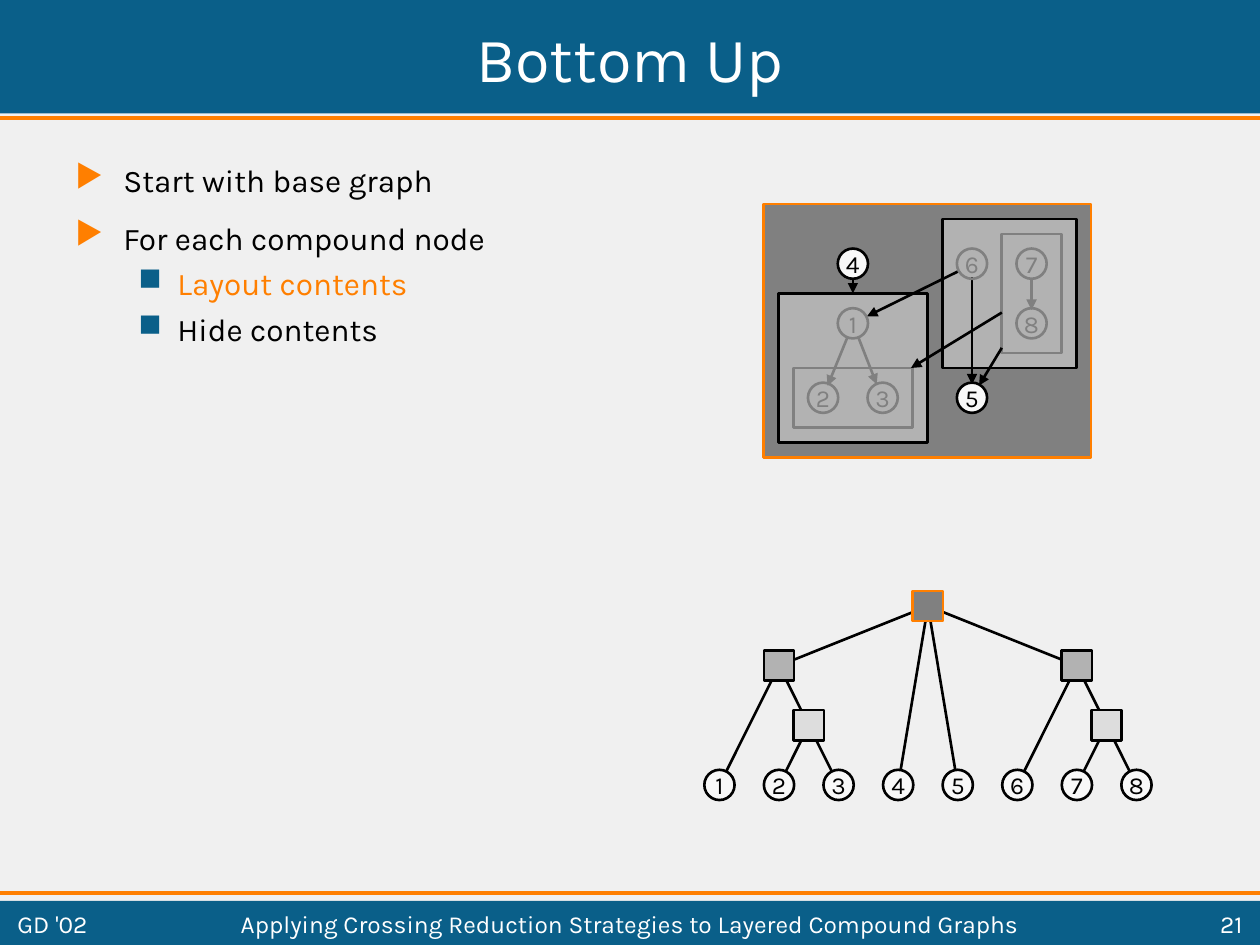
from lxml.etree import SubElement
from pptx import Presentation
from pptx.dml.color import RGBColor
from pptx.enum.shapes import MSO_CONNECTOR, MSO_SHAPE
from pptx.enum.text import MSO_ANCHOR, PP_ALIGN
from pptx.oxml.ns import qn
from pptx.util import Inches, Pt

FONT = "Karla"
NODE = 0.24
COLORS = {
    "page": "F0F0F0", "blue": "0A5F89", "orange": "FF7F00",
    "white": "FFFFFF", "black": "000000", "node": "F8F8F8",
    "dark": "808080", "mid": "B2B2B2", "light": "DDDDDD",
}


def rgb(name):
    return RGBColor.from_string(COLORS[name])


def add_run(p, text, size, color):
    r = p.add_run()
    r.text = text
    r.font.name = FONT
    r.font.size = Pt(size)
    r.font.color.rgb = rgb(color)


def add_shape(s, kind, x, y, w, h, fill=None, line=None):
    sp = s.shapes.add_shape(kind, Inches(x), Inches(y), Inches(w), Inches(h))
    sp.shadow.inherit = False
    if fill:
        sp.fill.solid()
        sp.fill.fore_color.rgb = rgb(fill)
    else:
        sp.fill.background()
    if line:
        sp.line.color.rgb = rgb(line)
        sp.line.width = Pt(1.5)
    else:
        sp.line.fill.background()
    return sp


def add_line(s, start, end, color="black", width=1.5, arrow=False):
    points = [Inches(v) for v in (*start, *end)]
    c = s.shapes.add_connector(MSO_CONNECTOR.STRAIGHT, *points)
    c.line.color.rgb = rgb(color)
    c.line.width = Pt(width)
    if arrow:
        SubElement(c.line._get_or_add_ln(), qn("a:tailEnd"), type="triangle")
    SubElement(c._element.spPr, qn("a:effectLst"))


def add_node(s, cx, cy, label, fill="node", color="black"):
    sp = add_shape(s, MSO_SHAPE.OVAL, cx - NODE / 2, cy - NODE / 2,
                   NODE, NODE, fill, color)
    tf = sp.text_frame
    tf.word_wrap = False
    tf.vertical_anchor = MSO_ANCHOR.MIDDLE
    p = tf.paragraphs[0]
    p.alignment = PP_ALIGN.CENTER
    add_run(p, label, 14, color)


def add_text(s, x, y, w, h, text, size, align):
    tf = s.shapes.add_textbox(Inches(x), Inches(y), Inches(w), Inches(h)).text_frame
    tf.word_wrap = True
    tf.vertical_anchor = MSO_ANCHOR.MIDDLE
    p = tf.paragraphs[0]
    p.alignment = align
    add_run(p, text, size, "white")


def add_header(s, x, y, w, h):
    add_shape(s, MSO_SHAPE.RECTANGLE, x, y, w, h, "blue")
    add_line(s, (x, y + h + 0.04), (x + w, y + h + 0.04), "orange", 2.25)
    add_text(s, x + 0.04, y + 0.04, w - 0.08, h - 0.07, "Bottom Up", 36, PP_ALIGN.CENTER)


def add_footer(s, x, y, w, h):
    add_shape(s, MSO_SHAPE.RECTANGLE, x, y, w, h, "blue")
    add_line(s, (x, y - 0.06), (x + w, y - 0.06), "orange", 2.25)
    for dx, width, text, align in (
        (0.04, 1.18, "GD '02", PP_ALIGN.LEFT),
        (1.3, 7.4, "Applying Crossing Reduction Strategies to Layered Compound Graphs",
         PP_ALIGN.CENTER),
        (8.78, 1.18, "21", PP_ALIGN.RIGHT),
    ):
        add_text(s, x + dx, y + 0.04, width, 0.28, text, 14, align)


def add_bullets(s, x, y, w, h):
    tf = s.shapes.add_textbox(Inches(x), Inches(y), Inches(w), Inches(h)).text_frame
    tf.word_wrap = True
    styles = [("▶", "orange", 0.38, 0.38, 11.2), ("■", "blue", 0.81, 0.31, 4.5)]
    items = [
        (0, "Start with base graph", "black"),
        (0, "For each compound node", "black"),
        (1, "Layout contents", "orange"),
        (1, "Hide contents", "black"),
    ]
    for i, (level, text, color) in enumerate(items):
        char, bullet_color, margin, hanging, before = styles[level]
        p = tf.add_paragraph() if i else tf.paragraphs[0]
        p.level = level
        p.space_before = Pt(before if i else 0)
        pPr = p._p.get_or_add_pPr()
        pPr.set("marL", str(Inches(margin)))
        pPr.set("indent", str(-Inches(hanging)))
        clr = SubElement(pPr, qn("a:buClr"))
        SubElement(clr, qn("a:srgbClr"), val=COLORS[bullet_color])
        SubElement(pPr, qn("a:buChar"), char=char)
        add_run(p, text, 18, color)


def add_compound_graph(s, x, y, w, h):
    ux, uy = w / 22, h / 17

    def at(col, row):
        return x + col * ux, y + row * uy

    for col, row, cols, rows, fill, line in (
        (0, 0, 22, 17, "dark", "orange"),
        (12, 1, 9, 10, "mid", "black"),
        (1, 6, 10, 10, "mid", "black"),
        (2, 11, 8, 4, None, "dark"),
        (16, 2, 4, 8, None, "dark"),
    ):
        add_shape(s, MSO_SHAPE.RECTANGLE, *at(col, row), cols * ux, rows * uy, fill, line)
    for start, end, color in (
        ((6, 4), (6, 6), "black"),
        ((16, 9.65), (14.47, 12.18), "black"),
        ((16, 7.28), (9.9, 11), "black"),
        ((6.35, 8.9), (7.6, 12.1), "dark"),
        ((5.65, 8.9), (4.3, 12.2), "dark"),
        ((13.1, 4.5), (6.95, 7.53), "black"),
        ((14, 4.9), (14, 12.1), "black"),
        ((18, 5), (18, 7.1), "dark"),
    ):
        add_line(s, at(*start), at(*end), color, arrow=True)
    centers = {"1": (6, 8), "2": (4, 13), "3": (8, 13), "4": (6, 4),
               "5": (14, 13), "6": (14, 4), "7": (18, 4), "8": (18, 8)}
    for label, center in centers.items():
        style = ("node", "black") if label in "45" else (None, "dark")
        add_node(s, *at(*center), label, *style)


def add_tree(s, x, y, w, h):
    dx, dy = (w - NODE) / 7, (h - NODE) / 3

    def at(col, level):
        return x + NODE / 2 + col * dx, y + NODE / 2 + level * dy

    inner = {
        "root": (3.5, 0, "dark", "orange"),
        "left": (1, 1, "mid", "black"),
        "right": (6, 1, "mid", "black"),
        "left_sub": (1.5, 2, "light", "black"),
        "right_sub": (6.5, 2, "light", "black"),
    }
    centers = {name: at(*node[:2]) for name, node in inner.items()}
    leaves = {str(i + 1): at(i, 3) for i in range(8)}
    centers.update(leaves)
    children = {
        "root": ["left", "4", "5", "right"],
        "left": ["1", "left_sub"],
        "right": ["6", "right_sub"],
        "left_sub": ["2", "3"],
        "right_sub": ["7", "8"],
    }
    for parent, names in children.items():
        for name in names:
            add_line(s, centers[parent], centers[name])
    for name, (_, _, fill, line) in inner.items():
        cx, cy = centers[name]
        add_shape(s, MSO_SHAPE.RECTANGLE, cx - NODE / 2, cy - NODE / 2,
                  NODE, NODE, fill, line)
    for label, center in leaves.items():
        add_node(s, *center, label)


def main():
    prs = Presentation()
    prs.slide_width, prs.slide_height = Inches(10), Inches(7.5)
    s = prs.slides.add_slide(prs.slide_layouts[6])
    s.background.fill.solid()
    s.background.fill.fore_color.rgb = rgb("page")
    add_header(s, 0, 0, 10, 0.9)
    add_bullets(s, 0.5, 1.23, 4.42, 5.67)
    add_compound_graph(s, 6.06, 1.62, 2.6, 2.01)
    add_tree(s, 5.59, 4.69, 3.55, 1.66)
    add_footer(s, 0, 7.15, 10, 0.35)
    prs.save("out.pptx")


if __name__ == "__main__":
    main()
